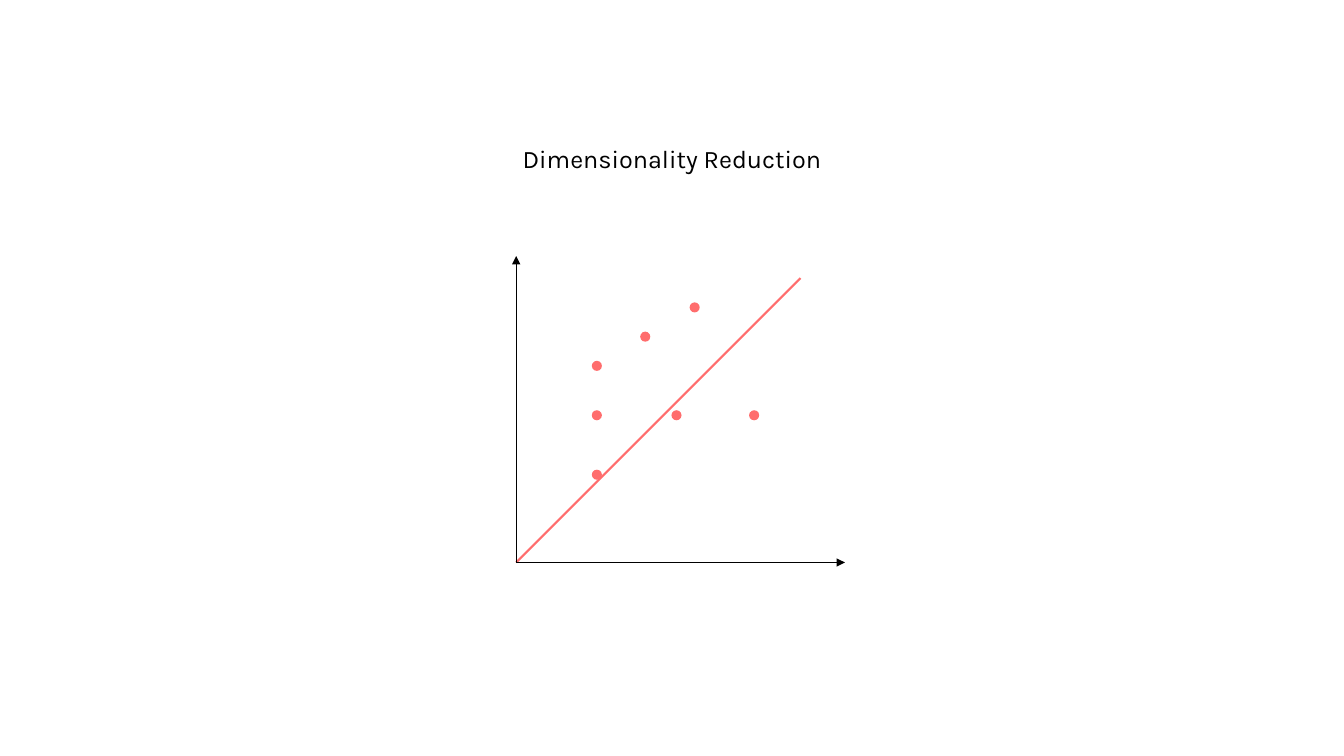
from pptx import Presentation
from pptx.dml.color import RGBColor
from pptx.enum.shapes import MSO_CONNECTOR, MSO_SHAPE
from pptx.enum.text import MSO_AUTO_SIZE, PP_ALIGN
from pptx.oxml.ns import qn
from pptx.util import Inches, Pt
from lxml.etree import SubElement

ORIGIN = (5.12, 5.58)
POINTS = [(5.87, 4.66), (6.84, 3), (6.35, 3.29), (7.43, 4.07),
          (5.87, 3.58), (5.87, 4.07), (6.66, 4.07)]


def color(value):
    return RGBColor.from_string(value)


def write(tf, text, font="Karla", size=18, fill="000000", align=PP_ALIGN.CENTER):
    p = tf.paragraphs[0]
    p.alignment = align
    r = p.add_run()
    r.text = text
    r.font.name = font
    r.font.size = Pt(size)
    r.font.color.rgb = color(fill)


class Plot:
    ink = "000000"
    accent = "FF6D6D"
    dot_size = 0.1

    def __init__(self, slide):
        self.s = slide

    def text(self, x, y, w, h, text, **style):
        sp = self.s.shapes.add_textbox(Inches(x), Inches(y), Inches(w), Inches(h))
        tf = sp.text_frame
        tf.word_wrap = True
        tf.auto_size = MSO_AUTO_SIZE.SHAPE_TO_FIT_TEXT
        write(tf, text, **style)

    def line(self, start, end, fill, width, arrow=False):
        cn = self.s.shapes.add_connector(
            MSO_CONNECTOR.STRAIGHT, *(Inches(v) for v in (*start, *end)))
        cn.line.color.rgb = color(fill)
        cn.line.width = Pt(width)
        if arrow:
            SubElement(cn.line._get_or_add_ln(), qn("a:tailEnd"), type="triangle")
        SubElement(cn._element.spPr, qn("a:effectLst"))

    def axis(self, end):
        self.line(ORIGIN, end, self.ink, 0.25, arrow=True)

    def dot(self, x, y):
        d = Inches(self.dot_size)
        sp = self.s.shapes.add_shape(MSO_SHAPE.OVAL, Inches(x), Inches(y), d, d)
        sp.shadow.inherit = False
        sp.fill.solid()
        sp.fill.fore_color.rgb = color(self.accent)
        sp.line.fill.background()


def main():
    prs = Presentation()
    prs.slide_width = Inches(13.33)
    prs.slide_height = Inches(7.5)
    plot = Plot(prs.slides.add_slide(prs.slide_layouts[6]))

    plot.line(ORIGIN, (7.94, 2.76), plot.accent, 1.5)
    plot.text(5, 1.37, 3.33, 0.4, "Dimensionality Reduction")
    plot.axis((8.38, 5.58))
    plot.axis((5.12, 2.54))
    for x, y in POINTS:
        plot.dot(x, y)

    prs.save("out.pptx")


if __name__ == "__main__":
    main()
